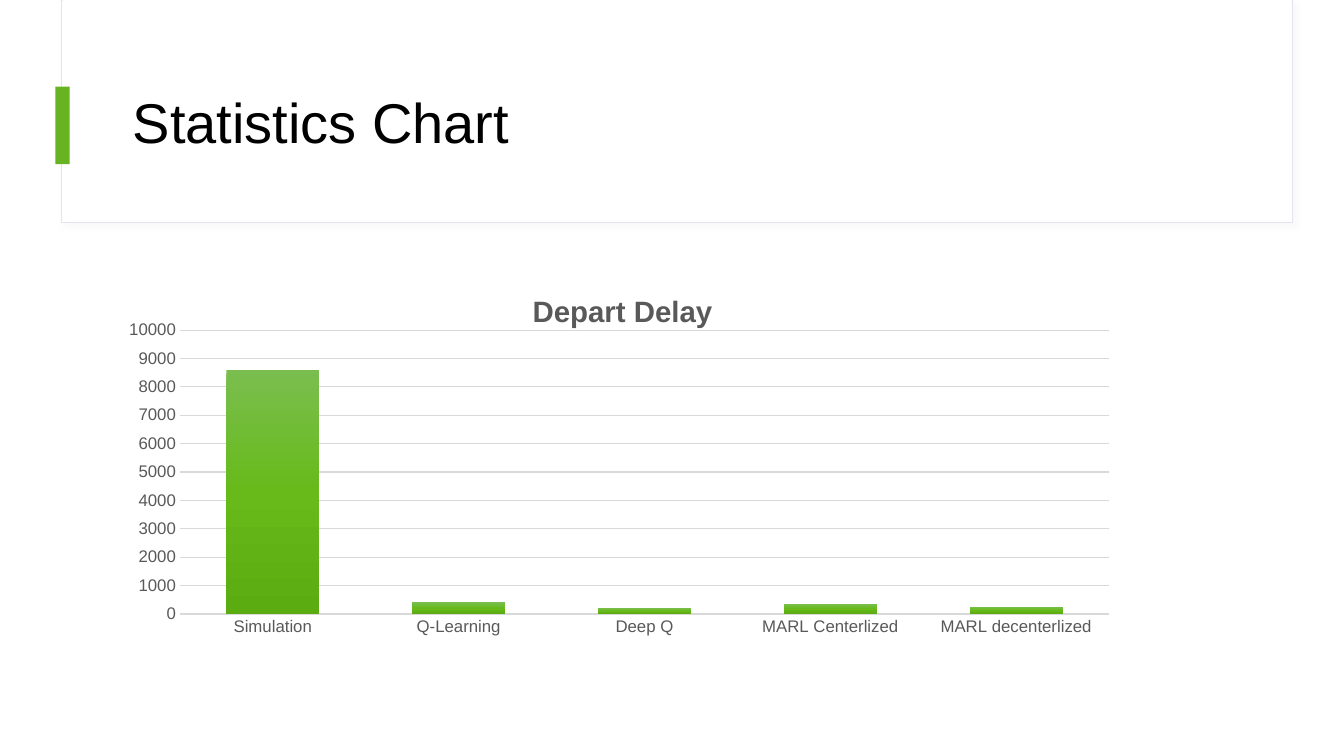
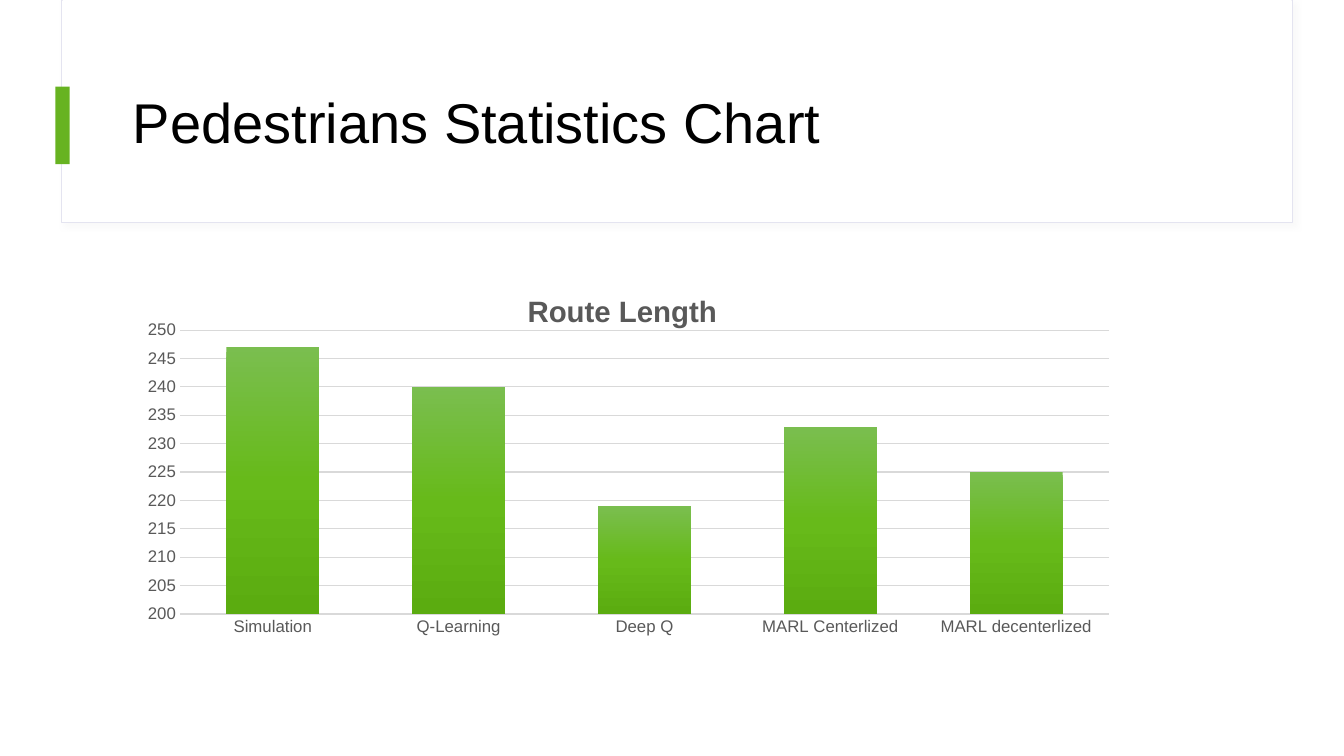
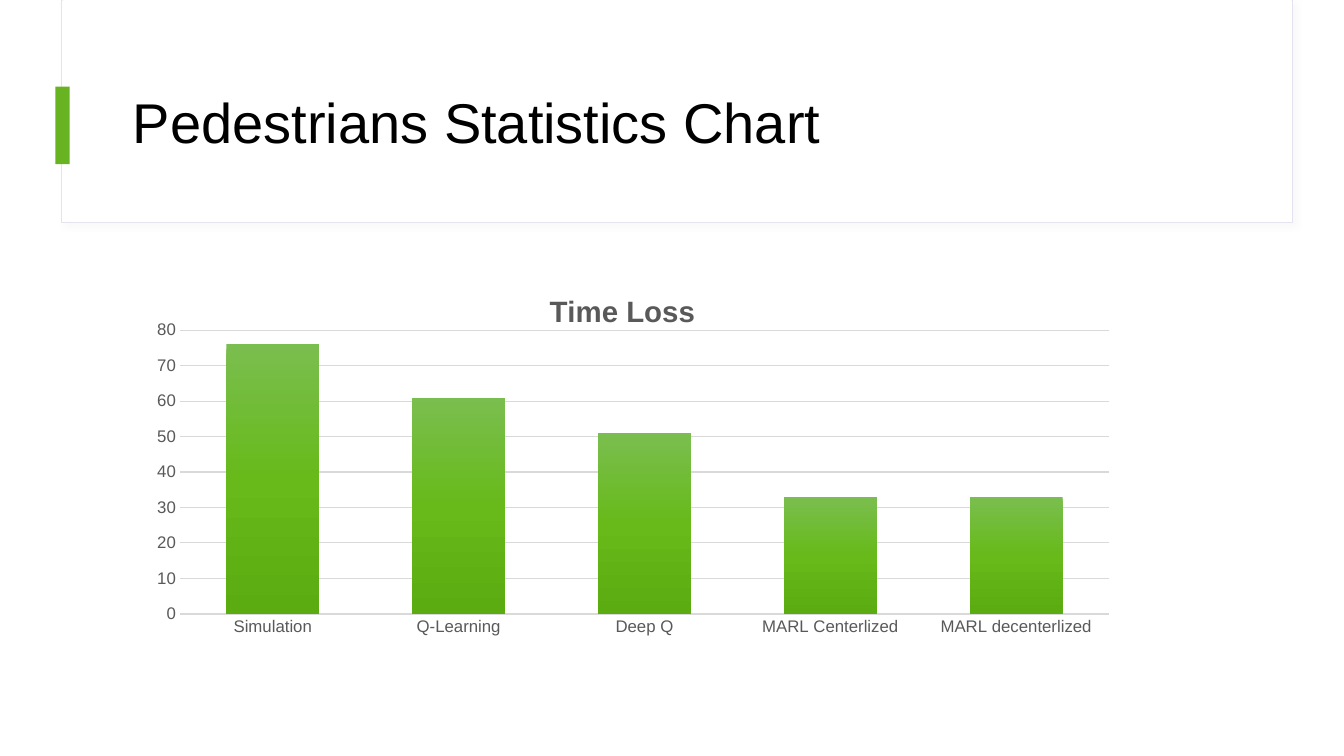
from dataclasses import dataclass
from typing import Optional

from pptx import Presentation
from pptx.chart.data import CategoryChartData
from pptx.dml.color import RGBColor
from pptx.enum.chart import XL_CHART_TYPE, XL_TICK_MARK
from pptx.enum.shapes import MSO_SHAPE
from pptx.enum.text import MSO_ANCHOR
from pptx.oxml import parse_xml
from pptx.oxml.ns import nsdecls, qn
from pptx.util import Emu, Pt

PX = 9144  # EMU in one px, 100 px to the inch


def px(n: int) -> Emu:
    return Emu(n * PX)


@dataclass(frozen=True)
class Theme:
    font: str = "Arial"
    white: str = "FFFFFF"
    black: str = "000000"
    accent: str = "67B321"
    frame_line: str = "E4E4F0"
    shadow: str = "D9D9D9"
    grid: str = "D9D9D9"
    label: str = "595959"
    bar_stops: tuple[tuple[int, str], ...] = ((0, "7ABE4F"), (50, "67BA1A"), (100, "5BAC10"))
    title_size: int = 40
    chart_title_size: int = 21
    axis_size: int = 12


@dataclass(frozen=True)
class Box:
    x: int
    y: int
    w: int
    h: int


@dataclass(frozen=True)
class Panel:
    box: Box
    fill: str
    line: Optional[str] = None
    shadow: bool = False


@dataclass(frozen=True)
class ChartSlide:
    title: str
    chart_title: str
    chart_title_x: int
    values: tuple[int, ...]
    low: int
    high: int
    step: int


THEME = Theme()
TITLE_BOX = Box(122, 60, 1112, 129)
CHART_BOX = Box(122, 271, 990, 419)
CHART_TITLE_Y = 285
PLOT = (0.057, 0.135, 0.931, 0.672)
CATEGORIES = ("Simulation", "Q-Learning", "Deep Q", "MARL Centerlized", "MARL decenterlized")

# Header band and accent mark on every slide
PANELS = (
    Panel(Box(61, 0, 1221, 221), THEME.white, THEME.frame_line, shadow=True),
    Panel(Box(62, 0, 1219, 220), THEME.white),
    Panel(Box(55, 86, 14, 77), THEME.accent),
)

SLIDES = (
    ChartSlide("Statistics Chart", "Depart Delay", 523,
               (8600, 400, 200, 350, 250), 0, 10000, 1000),
    ChartSlide("Pedestrians Statistics Chart", "Route Length", 518,
               (247, 240, 219, 233, 225), 200, 250, 5),
    ChartSlide("Pedestrians Statistics Chart", "Time Loss", 540,
               (76, 61, 51, 33, 33), 0, 80, 10),
)


def rgb(color: str) -> RGBColor:
    return RGBColor.from_string(color)


def set_font(font, size: int, color: str, bold: bool = False) -> None:
    font.name, font.size, font.bold = THEME.font, Pt(size), bold
    font.color.rgb = rgb(color)


def add_panel(slide, panel: Panel) -> None:
    b = panel.box
    sp = slide.shapes.add_shape(MSO_SHAPE.RECTANGLE, px(b.x), px(b.y), px(b.w), px(b.h))
    sp.shadow.inherit = False
    sp.fill.solid()
    sp.fill.fore_color.rgb = rgb(panel.fill)
    if panel.line:
        sp.line.color.rgb = rgb(panel.line)
        sp.line.width = Pt(0.75)
    else:
        sp.line.fill.background()
    if panel.shadow:
        sp._element.spPr.find(qn("a:effectLst")).append(parse_xml(
            f'<a:outerShdw {nsdecls("a")} blurRad="{Pt(4)}" dist="{Pt(3)}" dir="2700000" '
            f'algn="tl" rotWithShape="0"><a:srgbClr val="{THEME.shadow}">'
            '<a:alpha val="15000"/></a:srgbClr></a:outerShdw>'))


def add_title(slide, text: str) -> None:
    b = TITLE_BOX
    tf = slide.shapes.add_textbox(px(b.x), px(b.y), px(b.w), px(b.h)).text_frame
    tf.word_wrap = True
    tf.vertical_anchor = MSO_ANCHOR.MIDDLE
    p = tf.paragraphs[0]
    p.text = text
    p.line_spacing = 0.9
    set_font(p.font, THEME.title_size, THEME.black)


def set_layout(parent, index: int, sizes: dict[str, float], inner: bool = False) -> None:
    """Place a chart part by fractions of the chart's size."""
    for old in parent.findall(qn("c:layout")):
        parent.remove(old)
    target = '<c:layoutTarget val="inner"/>' if inner else ""
    modes = '<c:xMode val="edge"/><c:yMode val="edge"/>'
    values = "".join(f'<c:{key} val="{val:.3f}"/>' for key, val in sizes.items())
    parent.insert(index, parse_xml(
        f'<c:layout {nsdecls("c")}><c:manualLayout>{target}{modes}{values}'
        '</c:manualLayout></c:layout>'))


def add_chart(slide, spec: ChartSlide) -> None:
    b = CHART_BOX
    data = CategoryChartData()
    data.categories = CATEGORIES
    data.add_series("Series 1", spec.values)
    chart = slide.shapes.add_chart(XL_CHART_TYPE.COLUMN_CLUSTERED, px(b.x), px(b.y),
                                   px(b.w), px(b.h), data).chart
    chart.has_legend = False
    set_font(chart.font, THEME.axis_size, THEME.label)

    # Chart title
    chart.has_title = True
    title = chart.chart_title
    p = title.text_frame.paragraphs[0]
    p.text = spec.chart_title
    set_font(p.font, THEME.chart_title_size, THEME.label, bold=True)
    set_layout(title._element, 1, {"x": (spec.chart_title_x - b.x) / b.w,
                                   "y": (CHART_TITLE_Y - b.y) / b.h})

    # Axes and grid
    cat, val = chart.category_axis, chart.value_axis
    for axis in (cat, val):
        axis.major_tick_mark = axis.minor_tick_mark = XL_TICK_MARK.NONE
        set_font(axis.tick_labels.font, THEME.axis_size, THEME.label)
    cat.format.line.color.rgb = rgb(THEME.grid)
    cat.format.line.width = Pt(1)
    val.format.line.fill.background()
    val.minimum_scale, val.maximum_scale, val.major_unit = spec.low, spec.high, spec.step
    grid = val.major_gridlines.format.line
    grid.color.rgb = rgb(THEME.grid)
    grid.width = Pt(0.75)

    # Bars
    plot = chart.plots[0]
    plot.gap_width, plot.overlap, plot.vary_by_categories = 100, -24, False
    stops = "".join(f'<a:gs pos="{pos * 1000}"><a:srgbClr val="{color}"/></a:gs>'
                    for pos, color in THEME.bar_stops)
    plot.series[0]._element.get_or_add_spPr().append(parse_xml(
        f'<a:gradFill {nsdecls("a")} rotWithShape="1"><a:gsLst>{stops}</a:gsLst>'
        '<a:lin ang="5400000" scaled="0"/></a:gradFill>'))
    set_layout(chart._chartSpace.chart.plotArea, 0, dict(zip("xywh", PLOT)), inner=True)


def main() -> None:
    prs = Presentation()
    prs.slide_width, prs.slide_height = px(1333), px(750)
    for spec in SLIDES:
        slide = prs.slides.add_slide(prs.slide_layouts[6])
        for panel in PANELS:
            add_panel(slide, panel)
        add_title(slide, spec.title)
        add_chart(slide, spec)
    prs.save("out.pptx")


if __name__ == "__main__":
    main()
